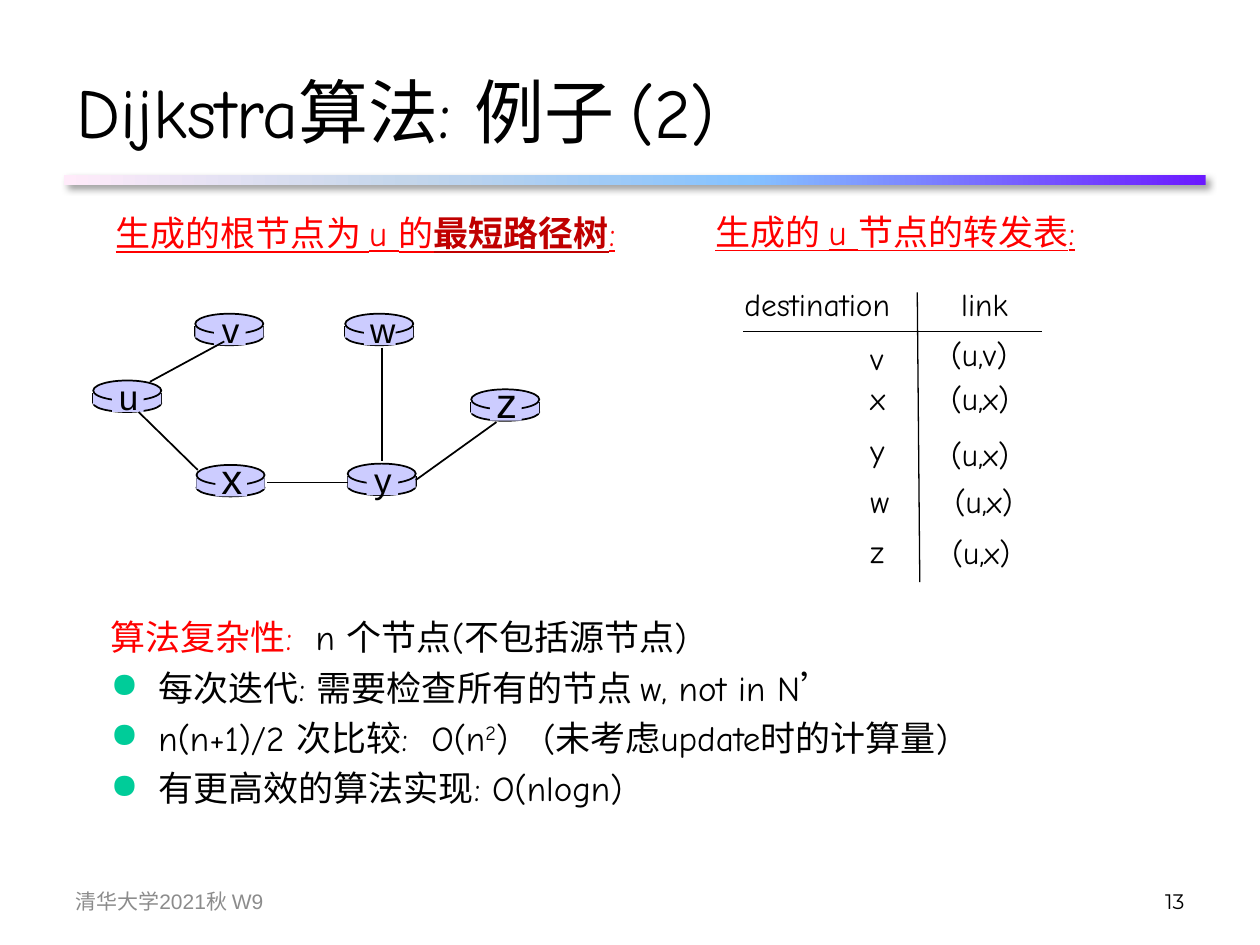
from dataclasses import dataclass

from lxml import etree
from pptx import Presentation, util as u
from pptx.dml.color import RGBColor
from pptx.enum import shapes, text
from pptx.oxml import parse_xml
from pptx.oxml.ns import nsdecls, qn

SHAPE = shapes.MSO_SHAPE
ALIGN = text.PP_ALIGN


@dataclass(frozen=True)
class Theme:
    hand: str = "Comic Neue"
    sans: str = "Arial"
    page: str = "Montserrat"
    ink: str = "000000"
    red: str = "FF0000"
    dark: str = "C00000"
    grey: str = "8C8C8C"
    node: str = "CCCCFF"
    dot: str = "00CC99"
    bar: tuple = ((0, "6B19FF"), (40, "85C2FF"), (70, "C4D6EB"), (100, "FFEBFA"))
    head: int = 40
    large: int = 24
    body: int = 20
    cell: int = 18
    small: int = 12


class Pen:
    def __init__(self, slide, theme):
        self.slide, self.theme = slide, theme
        self.target = slide.shapes

    def group(self):
        """Send the shapes that follow into a new group."""
        self.target = self.slide.shapes.add_group_shape().shapes

    def ungroup(self):
        self.target = self.slide.shapes

    def run(self, para, words, size, color=None, font=None, bold=None, line=None, base=None):
        run = para.add_run()
        run.text = words
        font_set = run.font
        font_set.size = u.Pt(size)
        font_set.name = font or self.theme.hand
        font_set.color.rgb = RGBColor.from_string(color or self.theme.ink)
        font_set.bold, font_set.underline = bold, line
        if base:
            font_set.fill  # the fill comes before the baseline is set
            run.font._element.set("baseline", str(base * 1000))

    def title(self, words, box):
        shape = self.slide.shapes.title
        shape.left, shape.top, shape.width, shape.height = map(u.Inches, box)
        shape.text_frame.vertical_anchor = text.MSO_ANCHOR.MIDDLE
        para = shape.text_frame.paragraphs[0]
        para.alignment = ALIGN.LEFT
        self.run(para, words, self.theme.head)

    def frame(self, box, wrap=False, middle=False):
        frame = self.target.add_textbox(*map(u.Inches, box)).text_frame
        frame.word_wrap = wrap
        if not wrap:
            frame.auto_size = text.MSO_AUTO_SIZE.SHAPE_TO_FIT_TEXT
        if middle:
            frame.vertical_anchor = text.MSO_ANCHOR.MIDDLE
        return frame

    def label(self, words, box, size, align=ALIGN.LEFT, wrap=False, middle=False, **style):
        para = self.frame(box, wrap, middle).paragraphs[0]
        para.alignment = align
        self.run(para, words, size, **style)

    def shape(self, kind, box, fill, line=None):
        shape = self.target.add_shape(kind, *map(u.Inches, box))
        shape.shadow.inherit = False
        shape.fill.solid()
        shape.fill.fore_color.rgb = RGBColor.from_string(fill)
        if line:
            shape.line.color.rgb = RGBColor.from_string(line)
            shape.line.width = u.Pt(1)
        else:
            shape.line.fill.background()
        return shape

    def line(self, start, end, width=1):
        line = self.target.add_connector(
            shapes.MSO_CONNECTOR.STRAIGHT, *map(u.Inches, (*start, *end)))
        line.line.color.rgb = RGBColor.from_string(self.theme.ink)
        line.line.width = u.Pt(width)
        etree.SubElement(line._element.spPr, qn("a:effectLst"))

    def bar(self, box):
        """Draw the rule under the title, with its gradient and soft shadow."""
        props = self.shape(SHAPE.RECTANGLE, box, self.theme.node)._element.spPr
        stops = "".join(f'<a:gs pos="{pos * 1000}"><a:srgbClr val="{color}"/></a:gs>'
                        for pos, color in self.theme.bar)
        props.replace(props.find(qn("a:solidFill")), parse_xml(
            f'<a:gradFill {nsdecls("a")}><a:gsLst>{stops}</a:gsLst>'
            '<a:lin ang="10800000" scaled="0"/></a:gradFill>'))
        props.replace(props.find(qn("a:effectLst")), parse_xml(
            f'<a:effectLst {nsdecls("a")}><a:outerShdw blurRad="{u.Pt(4)}" '
            f'dist="{u.Pt(3)}" dir="2700000" algn="tl" rotWithShape="0">'
            f'<a:srgbClr val="{self.theme.ink}"><a:alpha val="40000"/></a:srgbClr>'
            '</a:outerShdw></a:effectLst>'))

    def router(self, name, x, y, size):
        """Draw a flat drum whose upper ellipse has its corner at x, y."""
        fill, ink, wide = self.theme.node, self.theme.ink, 0.54
        self.shape(SHAPE.OVAL, (x, y + 0.11, wide, 0.14), fill, ink)
        for side in (x, x + wide):
            self.line((side, y + 0.1), (side, y + 0.18))
        self.shape(SHAPE.RECTANGLE, (x, y + 0.1, wide, 0.09), fill)
        self.shape(SHAPE.OVAL, (x, y, wide, 0.16), fill, ink)
        self.shape(SHAPE.RECTANGLE, (x + 0.15, y + 0.02, 0.25, 0.23), fill)
        lift, tall = (0.15, 0.51) if size == self.theme.large else (0.09, 0.44)
        self.label(name, (x + 0.1, y - lift, 0.36, tall), size, ALIGN.CENTER,
                   font=self.theme.sans)

    def bullet(self, para):
        props = para._p.get_or_add_pPr()
        props.set("marL", str(u.Inches(0.38)))
        props.set("indent", str(-u.Inches(0.38)))
        color = etree.SubElement(props, qn("a:buClr"))
        etree.SubElement(color, qn("a:srgbClr")).set("val", self.theme.dot)
        etree.SubElement(props, qn("a:buChar")).set("char", "●")


def tree(pen):
    look = pen.theme
    pen.group()
    for name, x, y, size in (
            ("u", 0.74, 3.02, look.body), ("x", 1.56, 3.69, look.large),
            ("v", 1.55, 2.49, look.body), ("w", 2.74, 2.49, look.body),
            ("y", 2.76, 3.68, look.body), ("z", 3.74, 3.09, look.large)):
        pen.router(name, x, y, size)
    for start, end in (
            ((1.19, 3.03), (1.78, 2.71)), ((3.03, 2.76), (3.03, 3.66)),
            ((3.3, 3.81), (3.94, 3.35)), ((2.76, 3.83), (2.12, 3.83)),
            ((1.57, 3.73), (1.1, 3.27))):
        pen.line(start, end)
    pen.ungroup()


def routes(pen):
    size = pen.theme.cell
    pen.group()
    pen.line((7.28, 2.32), (7.3, 4.62), 0.75)
    pen.line((5.9, 2.63), (8.27, 2.63), 0.75)
    pen.label("destination", (5.81, 2.21, 1.53, 0.4), size)
    pen.label("link", (7.53, 2.21, 0.6, 0.4), size)
    for name, top, link, left, high in (
            ("v", 2.64, "(u,v)", 7.45, 2.61), ("x", 2.96, "(u,x)", 7.45, 2.96),
            ("y", 3.37, "(u,x)", 7.45, 3.4), ("w", 3.78, "(u,x)", 7.48, 3.78),
            ("z", 4.17, "(u,x)", 7.46, 4.18)):
        pen.label(name, (6.81, top, 0.35, 0.4), size)
        pen.label(link, (left, high, 0.74, 0.4), size)
    pen.ungroup()


def notes(pen):
    look = pen.theme
    frame = pen.frame((0.78, 4.77, 7.34, 2.12), wrap=True)
    rows = (
        (("算法复杂性:  ", {"color": look.red}), ("n 个节点(不包括源节点)", {})),
        (("每次迭代: 需要检查所有的节点 w, not in N’", {}),),
        (("n(n+1)/2 次比较:  O(n", {}), ("2", {"base": 30}),
         (")   (未考虑update时的计算量)", {})),
        (("有更高效的算法实现: O(nlogn)", {}),),
    )
    for i, row in enumerate(rows):
        para = frame.add_paragraph() if i else frame.paragraphs[0]
        para.line_spacing = 1.2
        if i:
            pen.bullet(para)
        for words, style in row:
            pen.run(para, words, look.body, **style)


def main():
    deck = Presentation()
    deck.slide_width, deck.slide_height = u.Inches(10), u.Inches(7.5)
    look = Theme()
    pen = Pen(deck.slides.add_slide(deck.slide_layouts[5]), look)
    pen.bar((0.51, 1.39, 9.06, 0.08))
    pen.title("Dijkstra算法: 例子 (2)", (0.51, 0.36, 9.06, 1.03))
    pen.label("清华大学2021秋 W9", (0.5, 6.95, 2.33, 0.4), look.small,
              wrap=True, middle=True, color=look.grey, font=look.sans)
    pen.label("13", (7.17, 6.95, 2.33, 0.4), look.small, ALIGN.RIGHT,
              wrap=True, middle=True, font=look.page)
    tree(pen)
    para = pen.frame((0.82, 1.63, 4.38, 0.44)).paragraphs[0]
    for words, color, bold in (("生成的根节点为 u 的", look.red, False),
                               ("最短路径树", look.dark, True), (":", look.red, False)):
        pen.run(para, words, look.body, color, bold=bold, line=True)
    routes(pen)
    pen.label("生成的 u 节点的转发表:", (5.58, 1.62, 3.05, 0.44), look.body,
              wrap=True, color=look.red, line=True)
    notes(pen)
    deck.save("out.pptx")


if __name__ == "__main__":
    main()
